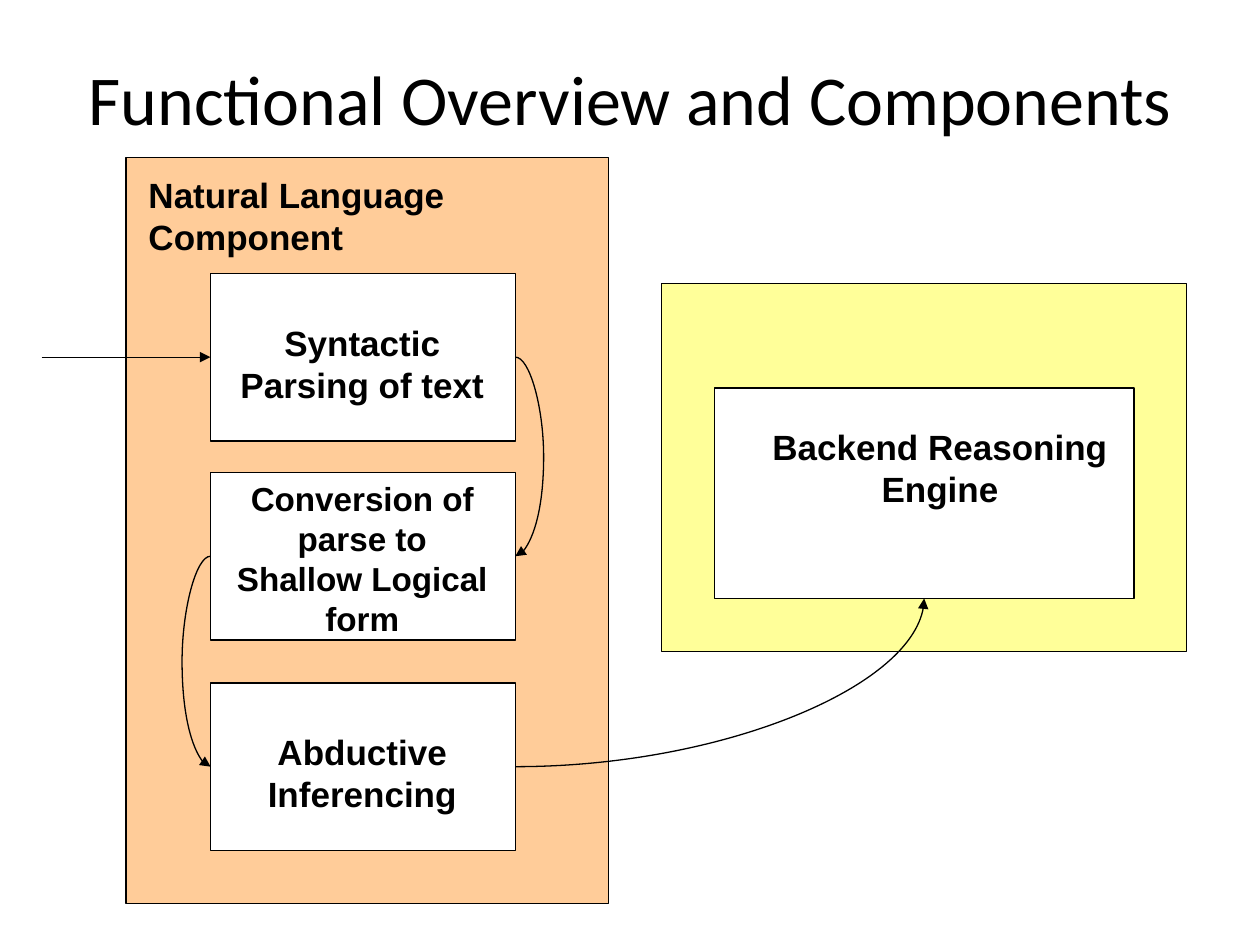
from lxml import etree
from pptx import Presentation
from pptx import util as u
from pptx.dml.color import RGBColor
from pptx.enum import shapes, text
from pptx.oxml.ns import qn

BLACK = RGBColor(0, 0, 0)
WHITE = RGBColor(255, 255, 255)
ORANGE = RGBColor(0xFF, 0xCC, 0x99)
YELLOW = RGBColor(0xFF, 0xFF, 0x99)

CENTER = text.PP_ALIGN.CENTER
STRAIGHT = shapes.MSO_CONNECTOR.STRAIGHT
CURVE = shapes.MSO_CONNECTOR.CURVE


def add_text(page, words, left, top, width, height, font="Arial", size=20,
             bold=True, align=CENTER, anchor=text.MSO_ANCHOR.TOP):
    box = page.shapes.add_textbox(*map(u.Inches, (left, top, width, height)))
    frame = box.text_frame
    frame.word_wrap = True
    frame.vertical_anchor = anchor
    para = frame.paragraphs[0]
    para.alignment = align
    span = para.add_run()
    span.text = words
    span.font.name = font
    span.font.size = u.Pt(size)
    span.font.bold = bold
    span.font.color.rgb = BLACK


def add_panel(page, color, left, top, width, height):
    panel = page.shapes.add_shape(shapes.MSO_SHAPE.RECTANGLE,
                                  *map(u.Inches, (left, top, width, height)))
    panel.shadow.inherit = False
    panel.fill.solid()
    panel.fill.fore_color.rgb = color
    panel.line.color.rgb = BLACK
    panel.line.width = u.Pt(0.75)
    return panel


def add_arrow(page, kind, start, end, arrowhead="tailEnd"):
    arrow = page.shapes.add_connector(kind, *start, *end)
    arrow.line.color.rgb = BLACK
    arrow.line.width = u.Pt(0.75)
    etree.SubElement(arrow.line._get_or_add_ln(), qn(f"a:{arrowhead}"), type="triangle")
    etree.SubElement(arrow._element.spPr, qn("a:effectLst"))
    return arrow


def side_middle(box, right):
    return box.left + (box.width if right else 0), box.top + box.height // 2


def add_bulge(page, start, end, bulge, arrowhead="tailEnd"):
    """Curve between two points on one vertical, bowing sideways by bulge."""
    span = 1600  # a near-zero width, in EMU, that the bulge is scaled from
    arrow = add_arrow(page, CURVE, start, (start[0] + span, end[1]), arrowhead)
    guides = arrow._element.spPr.find(qn("a:prstGeom")).get_or_add_avLst()
    etree.SubElement(guides, qn("a:gd"), name="adj1",
                     fmla=f"val {int(bulge / span * 100000)}")


def add_language_component(page, left, top, width, height):
    add_panel(page, ORANGE, left, top, width, height)
    add_text(page, "Natural Language Component", left + 0.08, top + 0.08, 3.92, 0.77,
             align=text.PP_ALIGN.LEFT)

    # Steps: words, box top, gap above the words, text height, text size
    steps = [("Syntactic Parsing of text", 0.92, 0.33, 0.77, 20),
             ("Conversion of parse to Shallow Logical form", 2.5, 0, 1.38, 19),
             ("Abductive Inferencing", 4.17, 0.33, 0.77, 20)]
    boxes = []
    for words, offset, gap, text_height, size in steps:
        boxes.append(add_panel(page, WHITE, left + 0.67, top + offset, 2.42, 1.33))
        add_text(page, words, left + 0.75, top + offset + gap, 2.25, text_height, size=size)
    parsing, conversion, inference = boxes

    # Input arrow and the curves from step to step
    entry = side_middle(parsing, right=False)
    arrow = add_arrow(page, STRAIGHT, (u.Inches(left - 0.67), entry[1]), entry)
    arrow.end_connect(parsing, 1)
    add_bulge(page, side_middle(conversion, True), side_middle(parsing, True),
              u.Inches(0.25), arrowhead="headEnd")
    add_bulge(page, side_middle(conversion, False), side_middle(inference, False),
              u.Inches(-0.25))
    return inference


def add_reasoning_engine(page, left, top, width, height):
    add_panel(page, YELLOW, left, top, width, height)
    engine = add_panel(page, WHITE, left + 0.42, top + 0.83, width - 0.84, 1.67)
    add_text(page, "Backend Reasoning Engine", left + 0.5, top + 1.08, 3.42, 0.77)
    return engine


def main():
    deck = Presentation()
    deck.slide_width, deck.slide_height = u.Inches(10), u.Inches(7.5)
    page = deck.slides.add_slide(deck.slide_layouts[6])

    add_text(page, "Functional Overview and Components", 0, 0.3, 10, 0.95,
             font="Calibri", size=40, bold=False, anchor=text.MSO_ANCHOR.MIDDLE)
    inference = add_language_component(page, 1, 1.25, 3.83, 5.92)
    engine = add_reasoning_engine(page, 5.25, 2.25, 4.17, 2.92)

    # Curve from the last step up to the engine
    handover = add_arrow(page, CURVE, side_middle(inference, True),
                         (engine.left + engine.width // 2, engine.top + engine.height))
    handover._element.spPr.find(qn("a:prstGeom")).set("prst", "curvedConnector2")

    deck.save("out.pptx")


if __name__ == "__main__":
    main()
